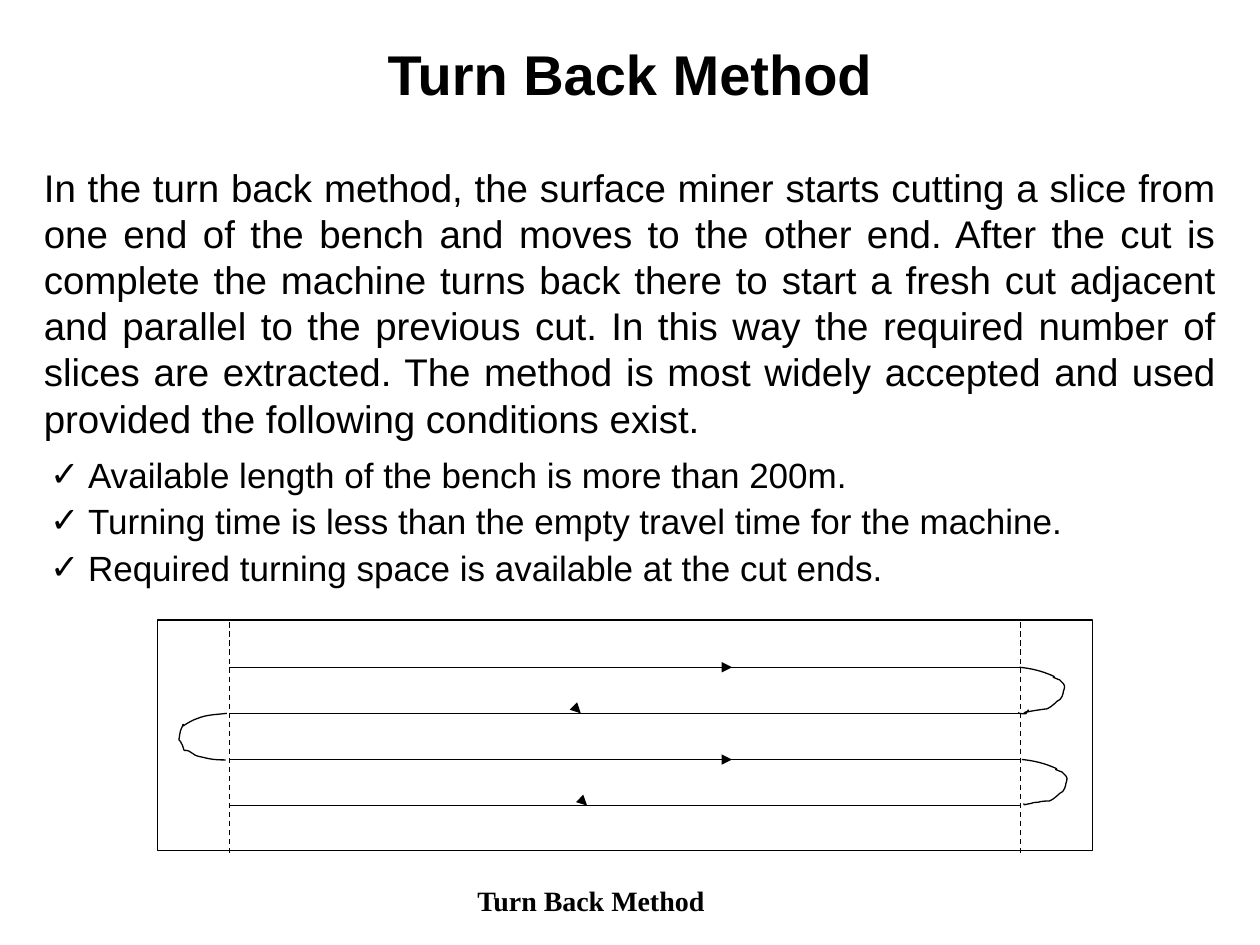
import pptx
import pptx.dml.color
import pptx.enum.dml
import pptx.enum.shapes
import pptx.enum.text
import pptx.oxml.ns
import pptx.util
from lxml import etree

Inches = pptx.util.Inches
Pt = pptx.util.Pt
qn = pptx.oxml.ns.qn
Align = pptx.enum.text.PP_ALIGN
Anchor = pptx.enum.text.MSO_ANCHOR
RECT = pptx.enum.shapes.MSO_SHAPE.RECTANGLE

BLACK = pptx.dml.color.RGBColor(0x00, 0x00, 0x00)
WHITE = pptx.dml.color.RGBColor(0xFF, 0xFF, 0xFF)

INTRO = (
    "In the turn back method, the surface miner starts cutting a slice from "
    "one end of the bench and moves to the other end. After the cut is "
    "complete the machine turns back there to start a fresh cut adjacent and "
    "parallel to the previous cut. In this way the required number of slices "
    "are extracted. The method is most widely accepted and used provided the "
    "following conditions exist."
)
TERMS = [
    "Available length of the bench is more than 200m.",
    "Turning time is less than the empty travel time for the machine.",
    "Required turning space is available at the cut ends.",
]

# Bezier points of the turns, from the end of the upper cut
RIGHT = [
    (0, 0), (0.1, 0.01), (0.18, 0.03), (0.27, 0.07),
    (0.29, 0.08), (0.26, 0.07), (0.27, 0.08),
    (0.29, 0.09), (0.32, 0.1), (0.32, 0.1),
    (0.33, 0.11), (0.34, 0.12), (0.35, 0.13),
    (0.37, 0.15), (0.35, 0.19), (0.35, 0.19),
    (0.35, 0.2), (0.34, 0.26), (0.3, 0.27),
    (0.3, 0.27), (0.25, 0.32), (0.22, 0.33),
]
# The upper and lower right turns close in different ways
UPPER = RIGHT + [
    (0.21, 0.33), (0.07, 0.35), (0.04, 0.36),
    (0.02, 0.37), (0.09, 0.34), (0.07, 0.34),
    (0.05, 0.35), (0.07, 0.37), (0.05, 0.37),
    (0.05, 0.37), (-0.01, 0.37), (-0.01, 0.36),
]
LOWER = RIGHT + [
    (0.21, 0.33), (0.15, 0.33), (0.13, 0.34),
    (0.11, 0.34), (0.09, 0.34), (0.07, 0.35),
    (0.05, 0.35), (0.03, 0.36), (0.02, 0.36),
    (0.01, 0.36), (0.02, 0.35), (0.02, 0.35),
]
LEFT = [
    (0, 0), (-0.08, 0.01), (-0.16, 0.01), (-0.23, 0.04),
    (-0.27, 0.05), (-0.33, 0.09), (-0.33, 0.09),
    (-0.38, 0.13), (-0.32, 0.04), (-0.36, 0.12),
    (-0.37, 0.13), (-0.38, 0.21), (-0.38, 0.21),
    (-0.37, 0.22), (-0.36, 0.23), (-0.36, 0.24),
    (-0.36, 0.25), (-0.35, 0.24), (-0.35, 0.26),
    (-0.33, 0.32), (-0.35, 0.28), (-0.3, 0.3),
    (-0.27, 0.31), (-0.27, 0.33), (-0.23, 0.34),
    (-0.14, 0.36), (-0.12, 0.37), (-0.01, 0.37),
]


def fill_text(shape, lines, size, align, face="Arial", bold=False,
              anchor=Anchor.TOP, tick=False):
    frame = shape.text_frame
    frame.word_wrap = True
    frame.vertical_anchor = anchor
    for i, line in enumerate(lines):
        para = frame.paragraphs[0] if i == 0 else frame.add_paragraph()
        para.text = line
        para.alignment = align
        if i:
            para.space_before = Pt(2.5)
        if tick:
            props = para._p.get_or_add_pPr()
            props.set("marL", str(Inches(0.3)))
            props.set("indent", str(-Inches(0.3)))
            etree.SubElement(props, qn("a:buFont")).set("typeface", "Arial")
            etree.SubElement(props, qn("a:buChar")).set("char", "✓")
        font = para.font
        font.name, font.size, font.bold = face, Pt(size), bold
        font.color.rgb = BLACK


def add_box(shapes, box):
    rect = shapes.add_shape(RECT, *map(Inches, box))
    rect.shadow.inherit = False
    rect.fill.solid()
    rect.fill.fore_color.rgb = WHITE
    return rect


def set_line(shape):
    shape.line.color.rgb = BLACK
    shape.line.width = Pt(0.75)


def add_line(shapes, start, end, dash=False, head=False):
    line = shapes.add_connector(
        pptx.enum.shapes.MSO_CONNECTOR.STRAIGHT, *map(Inches, start + end))
    set_line(line)
    if dash:
        line.line.dash_style = pptx.enum.dml.MSO_LINE.DASH
    if head:
        ln = line.line._get_or_add_ln()
        etree.SubElement(ln, qn("a:tailEnd")).set("type", "triangle")
    etree.SubElement(line._element.spPr, qn("a:effectLst"))


def add_turn(shapes, x, y, points):
    track = [(Inches(x + dx), Inches(y + dy)) for dx, dy in points]
    pen = shapes.build_freeform(*track[0])
    pen.add_line_segments(track[1:], close=False)
    turn = pen.convert_to_shape()
    turn.shadow.inherit = False
    turn.fill.background()
    set_line(turn)
    # Every three points make one Bezier curve
    legs = list(turn._element.iter(qn("a:lnTo")))
    for i in range(0, len(legs), 3):
        curve = etree.Element(qn("a:cubicBezTo"))
        legs[i].addprevious(curve)
        for leg in legs[i:i + 3]:
            curve.append(leg[0])
            leg.getparent().remove(leg)


def add_bench(shapes, box):
    left, top, width, height = box
    set_line(add_box(shapes, box))

    # Parallel cuts
    west, east = left + 0.57, left + width - 0.57
    rows = [top + height * n / 5 + 0.01 for n in range(1, 5)]
    for y in rows:
        add_line(shapes, (west, y), (east, y))

    # Turns between cuts
    add_turn(shapes, east + 0.01, rows[2], LOWER)
    add_turn(shapes, east - 0.01, rows[0], UPPER)
    add_turn(shapes, west - 0.02, rows[1], LEFT)

    # Arrowheads along the cuts
    for n, y in enumerate(rows):
        if n % 2 == 0:
            add_line(shapes, (left + 4.37, y), (left + 4.56, y), head=True)
        else:
            tip = left + 3.36 + 0.05 * (n // 2)
            add_line(shapes, (tip - 0.01, y - 0.01), (tip, y), head=True)

    # Ends of the bench
    for x in (west, east):
        add_line(shapes, (x, top + 0.02), (x, top + height + 0.02), dash=True)


def main():
    deck = pptx.Presentation()
    deck.slide_width, deck.slide_height = Inches(10), Inches(7.5)
    shapes = deck.slides.add_slide(deck.slide_layouts[6]).shapes

    # Title and text
    title = shapes.add_textbox(*map(Inches, (0.75, 0.33, 8.5, 0.5)))
    fill_text(title, ["Turn Back Method"], 32, Align.CENTER, bold=True,
              anchor=Anchor.MIDDLE)
    intro = shapes.add_textbox(*map(Inches, (0.25, 1.25, 9.5, 2.34)))
    fill_text(intro, [INTRO], 22, Align.JUSTIFY)
    terms = shapes.add_textbox(*map(Inches, (0.3, 3.55, 9.08, 1.17)))
    fill_text(terms, TERMS, 20, Align.JUSTIFY, tick=True)

    # Caption and diagram
    group = shapes.add_group_shape().shapes
    label = add_box(group, (3.69, 6.96, 2.39, 0.28))
    label.line.fill.background()
    fill_text(label, ["Turn Back Method"], 16, Align.LEFT,
              face="Times New Roman", bold=True)
    add_bench(group, (1.25, 4.92, 7.42, 1.83))

    deck.save("out.pptx")


if __name__ == "__main__":
    main()
